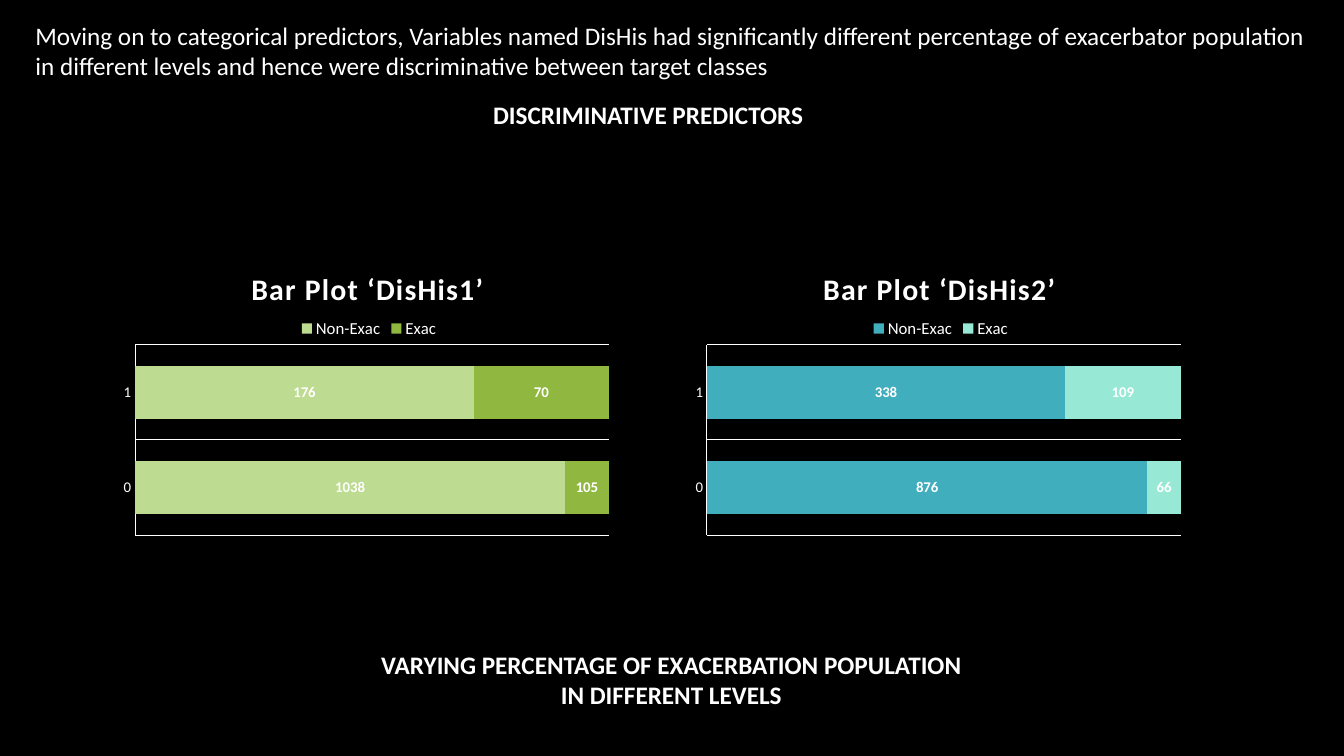
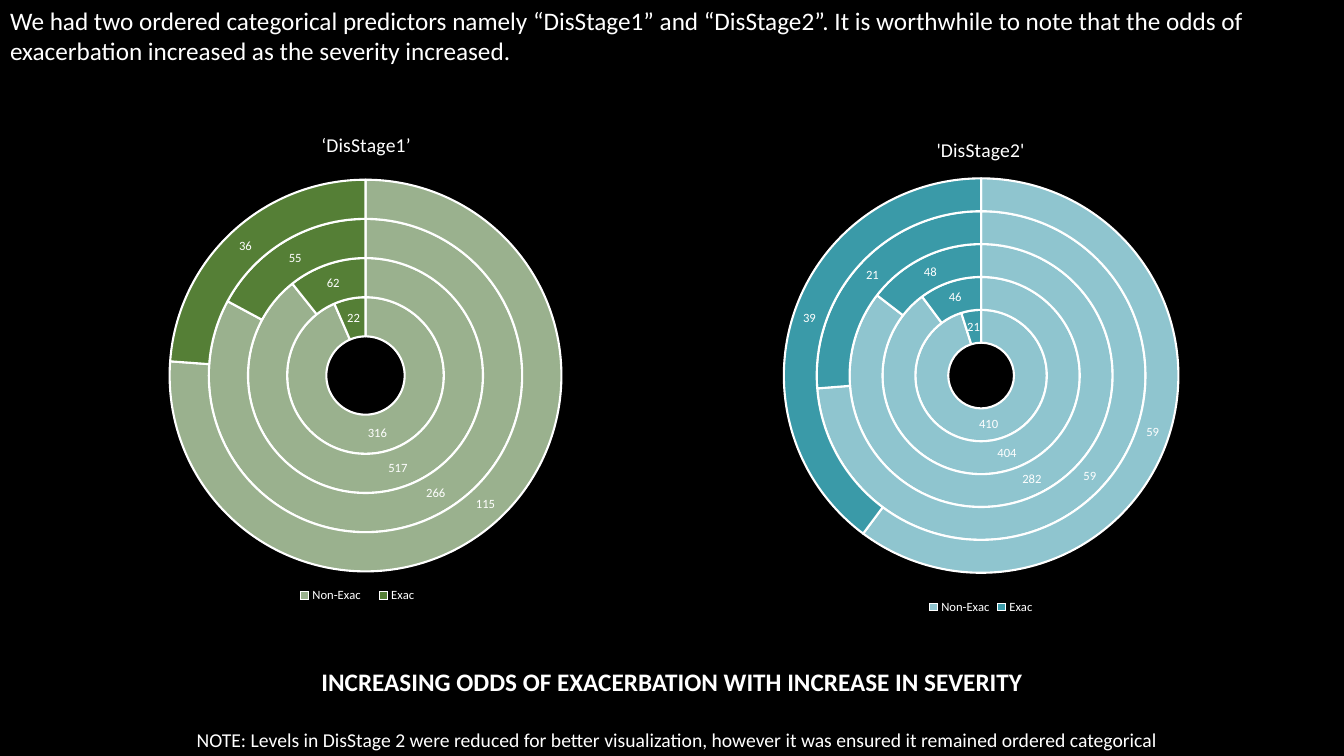
from pptx import Presentation
from pptx.chart.data import CategoryChartData
from pptx.dml.color import RGBColor
from pptx.enum.chart import XL_CHART_TYPE, XL_LEGEND_POSITION, XL_TICK_MARK
from pptx.enum.text import MSO_ANCHOR, MSO_AUTO_SIZE, PP_ALIGN
from pptx.oxml.ns import qn
from pptx.util import Inches, Pt
from lxml.etree import SubElement

FONT = "Calibri"
COLORS = {
    "back": "000000", "text": "FFFFFF",
    "bar_light_green": "BDDB91", "bar_green": "90B841",
    "bar_teal": "41AEBD", "bar_mint": "97E9D5",
    "ring_light_green": "9AB18E", "ring_green": "557F36",
    "ring_light_teal": "8FC5CF", "ring_teal": "3A9AA8",
}
CLASSES = ("Non-Exac", "Exac")


def rgb(name):
    return RGBColor.from_string(COLORS[name])


class Deck:
    """Shared style and current slide; boxes are percentages of the slide."""

    def __init__(self):
        self.prs = Presentation()
        self.prs.slide_width, self.prs.slide_height = Inches(13.33), Inches(7.5)
        fill = self.prs.slide_master.background.fill
        fill.solid()
        fill.fore_color.rgb = rgb("back")

    def box(self, x, y, w, h):
        pw, ph = self.prs.slide_width / 100, self.prs.slide_height / 100
        return int(x * pw), int(y * ph), int(w * pw), int(h * ph)

    def style(self, font, size, bold=False):
        font.name, font.size, font.bold = FONT, Pt(size), bold
        font.color.rgb = rgb("text")

    def fill_text(self, sp, text, size, bold, align):
        tf = sp.text_frame
        tf.text = text
        tf.word_wrap = True
        tf.auto_size = MSO_AUTO_SIZE.NONE
        tf.vertical_anchor = MSO_ANCHOR.TOP
        for p in tf.paragraphs:
            p.alignment = align
            for r in p.runs:
                self.style(r.font, size, bold)

    def slide(self, title, *box):
        self.s = self.prs.slides.add_slide(self.prs.slide_layouts[5])
        sp = self.s.shapes.title
        sp.left, sp.top, sp.width, sp.height = self.box(*box)
        self.fill_text(sp, title, 18, False, PP_ALIGN.LEFT)

    def text(self, text, *box, size=18, bold=True, align=PP_ALIGN.CENTER):
        sp = self.s.shapes.add_textbox(*self.box(*box))
        self.fill_text(sp, text, size, bold, align)

    def place(self, chart, part, **shares):
        """Set the manual layout of a chart part in shares of the chart."""
        el = chart._chartSpace.find(qn("c:chart")).find(qn(f"c:{part}"))
        for old in el.findall(qn("c:layout")):
            el.remove(old)
        layout = SubElement(el, qn("c:layout"))
        manual = SubElement(layout, qn("c:manualLayout"))
        if part == "plotArea":
            SubElement(manual, qn("c:layoutTarget")).set("val", "inner")
        for key in "xy":
            SubElement(manual, qn(f"c:{key}Mode")).set("val", "edge")
        for key, share in shares.items():
            SubElement(manual, qn(f"c:{key}")).set("val", str(share))
        overlay = el.find(qn("c:overlay"))
        if overlay is None:
            el.insert(0, layout)
        else:
            overlay.addprevious(layout)

    def chart(self, kind, title, title_size, bold, cats, series, box,
              legend_pos, legend_size, label_size):
        data = CategoryChartData()
        data.categories = cats
        for name, values in series:
            data.add_series(name, values)
        chart = self.s.shapes.add_chart(kind, *self.box(*box), data).chart
        self.style(chart.font, 10)
        # Title
        tf = chart.chart_title.text_frame
        tf.text = title
        r = tf.paragraphs[0].runs[0]
        self.style(r.font, title_size, bold)
        # Legend
        chart.has_legend = True
        chart.legend.position = legend_pos
        chart.legend.include_in_layout = False
        self.style(chart.legend.font, legend_size)
        # Value labels
        plot = chart.plots[0]
        plot.has_data_labels = True
        labels = plot.data_labels
        labels.show_value, labels.show_percentage = True, False
        self.style(labels.font, label_size, bold)
        return chart, r

    def bars(self, title, values, colors, *box):
        chart, r = self.chart(
            XL_CHART_TYPE.BAR_STACKED_100, title, 21.3, True, ("0", "1"),
            zip(CLASSES, values), box, XL_LEGEND_POSITION.TOP, 12, 10.6)
        r.font._element.set("spc", "100")
        plot = chart.plots[0]
        plot.gap_width, plot.overlap = 79, 100
        plot.vary_by_categories = False
        for series, color in zip(plot.series, colors):
            series.format.fill.solid()
            series.format.fill.fore_color.rgb = rgb(color)
        # Axes
        chart.value_axis.has_major_gridlines = False
        chart.value_axis.visible = False
        axis = chart.category_axis
        axis.major_tick_mark = XL_TICK_MARK.NONE
        axis.has_major_gridlines = True
        self.style(axis.tick_labels.font, 10.6)
        for line in (axis.format.line, axis.major_gridlines.format.line):
            line.width = Pt(0.75)
            line.color.rgb = rgb("text")
        self.place(chart, "title", x=0.26, y=0.08)
        self.place(chart, "legend", x=0.36, y=0.25)
        self.place(chart, "plotArea", x=0.04, y=0.35, w=0.94, h=0.63)

    def rings(self, title, values, colors, *box, title_y, legend=None):
        chart, r = self.chart(
            XL_CHART_TYPE.DOUGHNUT, title, 14, False, CLASSES,
            [(f"Series {n}", v) for n, v in enumerate(values, 1)],
            box, XL_LEGEND_POSITION.BOTTOM, 9, 9)
        plot = chart.plots[0]
        plot.vary_by_categories = True
        for hole in chart._chartSpace.iter(qn("c:holeSize")):
            hole.set("val", "20")
        for series in plot.series:
            for i, color in enumerate(colors):
                fmt = series.points[i].format
                fmt.fill.solid()
                fmt.fill.fore_color.rgb = rgb(color)
                fmt.line.width = Pt(1.5)
                fmt.line.color.rgb = rgb("text")
        self.place(chart, "title", x=0.41, y=title_y)
        self.place(chart, "plotArea", x=0.13, y=0.13, w=0.74, h=0.78)
        if legend:
            self.place(chart, "legend", **legend)


def main():
    deck = Deck()

    # Stacked bars of the two discriminative predictors
    deck.slide("Moving on to categorical predictors, Variables named DisHis had "
               "significantly different percentage of exacerbator population in "
               "different levels and hence were discriminative between target "
               "classes", 1.88, 2, 96.2, 9.5)
    deck.text("DISCRIMINATIVE PREDICTORS", 33.45, 12.5, 29.55, 5.3)
    deck.text("VARYING PERCENTAGE OF EXACERBATION POPULATION\n"
              "IN DIFFERENT LEVELS", 23.4, 85.2, 53.1, 9.5)
    deck.bars("Bar Plot ‘DisHis1’", ((1038, 176), (105, 70)),
              ("bar_light_green", "bar_green"), 8.55, 31.6, 37.5, 40)
    deck.bars("Bar Plot ‘DisHis2’", ((876, 338), (66, 109)),
              ("bar_teal", "bar_mint"), 51.1, 31.6, 37.5, 40)

    # Rings of the two ordered predictors, one ring per level
    deck.slide("We had two ordered categorical predictors namely “DisStage1” and "
               "“DisStage2”. It is worthwhile to note that the odds of "
               "exacerbation increased as the severity increased.",
               0, 0, 100, 9.5)
    deck.rings("‘DisStage1’", ((316, 22), (517, 62), (266, 55), (115, 36)),
               ("ring_light_green", "ring_green"), 7.5, 14.9, 39.4, 66.9,
               title_y=0.03, legend=dict(x=0.35, y=0.93, w=0.27, h=0.05))
    deck.rings("'DisStage2'",
               ((410, 21), (404, 46), (282, 48), (59, 21), (59, 39)),
               ("ring_light_teal", "ring_teal"), 53.1, 14.9, 39.8, 66.9,
               title_y=0.04)
    deck.text("INCREASING ODDS OF EXACERBATION WITH INCREASE IN SEVERITY",
              3.2, 87.5, 93.6, 5.3)
    deck.text("NOTE: Levels in DisStage 2 were reduced for better visualization, "
              "however it was ensured it remained ordered categorical",
              13.9, 95.6, 86.1, 4.4, size=14, bold=False, align=PP_ALIGN.LEFT)

    deck.prs.save("out.pptx")


if __name__ == "__main__":
    main()
